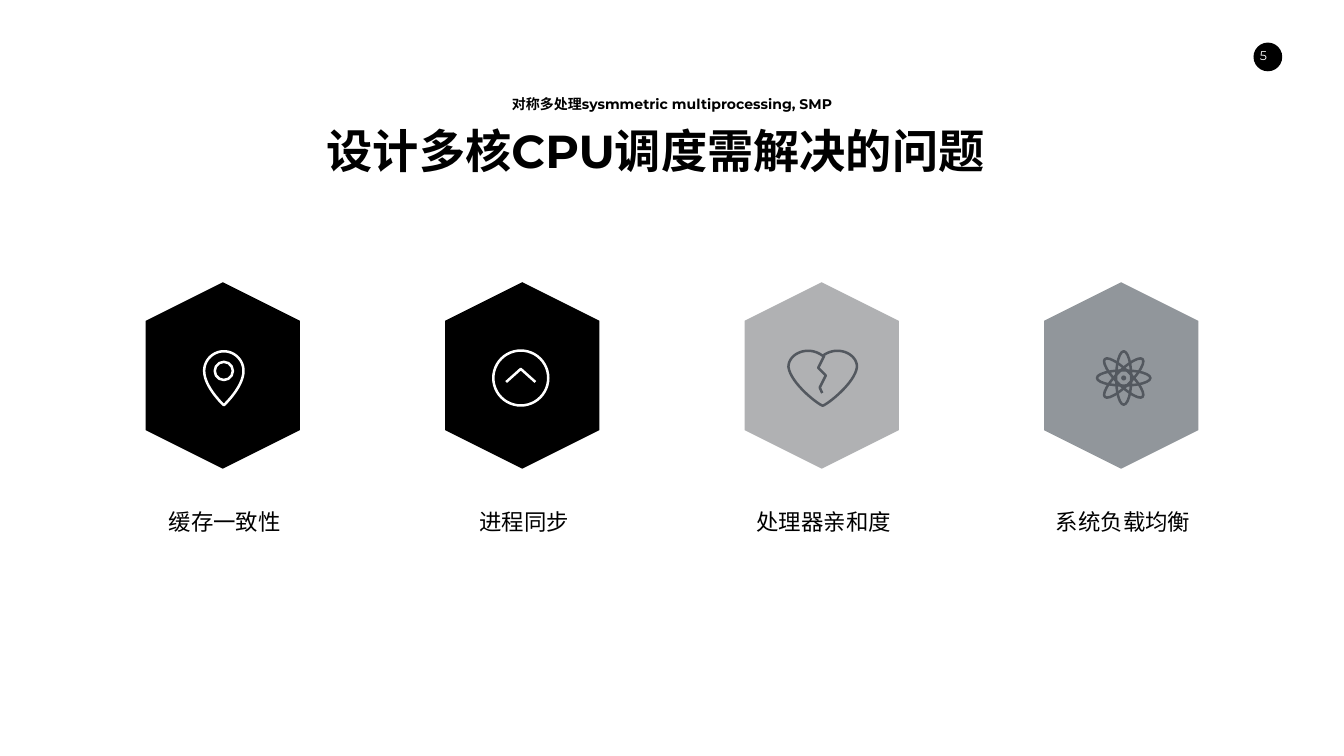
from pptx import Presentation
from pptx import util as u
from pptx.dml.color import RGBColor
from pptx.enum import shapes, text

ITEMS = [
    ("缓存一致性", "000000"),
    ("进程同步", "000000"),
    ("处理器亲和度", "B0B1B3"),
    ("系统负载均衡", "91969B"),
]
STEP = 5.94
MID = 7.5
KIND = shapes.MSO_SHAPE


def color(code):
    return RGBColor.from_string(code)


def write(shape, words, size=32, bold=False, ink="000000", font="Montserrat"):
    frame = shape.text_frame
    frame.text = words
    frame.word_wrap = True
    frame.auto_size = text.MSO_AUTO_SIZE.NONE
    frame.vertical_anchor = text.MSO_ANCHOR.MIDDLE
    para = frame.paragraphs[0]
    para.alignment = text.PP_ALIGN.CENTER
    para.font.size = u.Pt(size)
    para.font.name = font
    para.font.bold = bold
    para.font.color.rgb = color(ink)


def curve(start, *parts, count=16):
    points = [start]
    for b, c, d in parts:
        a = points[-1]
        for i in range(1, count + 1):
            t = i / count
            s = 1 - t
            points.append(tuple(
                s**3 * a[k] + 3 * s * s * t * b[k] + 3 * s * t * t * c[k] + t**3 * d[k]
                for k in (0, 1)))
    return points


def mirror(half):
    return half + [(-x, y) for x, y in reversed(half[1:-1])]


class Deck:
    stroke = 3.6

    def __init__(self, slide):
        self.slide = slide

    def paint(self, shape, fill=None, line=None):
        shape.shadow.inherit = False
        if fill:
            shape.fill.solid()
            shape.fill.fore_color.rgb = color(fill)
        else:
            shape.fill.background()
        if line:
            shape.line.color.rgb = color(line)
            shape.line.width = u.Pt(self.stroke)
        else:
            shape.line.fill.background()

    def form(self, kind, x, y, wide, high, turn=0, **look):
        shape = self.slide.shapes.add_shape(
            kind, u.Inches(x - wide / 2), u.Inches(y - high / 2),
            u.Inches(wide), u.Inches(high))
        shape.rotation = turn
        self.paint(shape, **look)
        return shape

    def trace(self, x, y, points, line, close=True):
        spots = [(u.Inches(x + a), u.Inches(y + b)) for a, b in points]
        pen = self.slide.shapes.build_freeform(*spots[0])
        pen.add_line_segments(spots[1:], close=close)
        self.paint(pen.convert_to_shape(), line=line)

    def label(self, x, y, wide, high, words, **style):
        box = self.slide.shapes.add_textbox(
            u.Inches(x), u.Inches(y), u.Inches(wide), u.Inches(high))
        write(box, words, **style)

    def title(self, x, y, wide, high, words, **style):
        box = self.slide.shapes.title
        box.left, box.top = u.Inches(x), u.Inches(y)
        box.width, box.height = u.Inches(wide), u.Inches(high)
        write(box, words, **style)

    def pin(self, x, ink):
        half = curve((0, -0.53), ((0.21, -0.53), (0.39, -0.36), (0.39, -0.14)),
                     ((0.39, 0.18), (0, 0.54), (0, 0.54)))
        self.trace(x, MID, mirror(half), ink)
        self.form(KIND.OVAL, x, MID - 0.14, 0.36, 0.36, line=ink)

    def arrow(self, x, ink):
        self.form(KIND.OVAL, x, MID, 1.09, 1.09, line=ink)
        self.trace(x, MID, [(-0.29, 0.08), (0, -0.18), (0.29, 0.08)], ink, close=False)

    def heart(self, x, ink):
        half = curve((0, -0.44), ((0.08, -0.5), (0.18, -0.54), (0.29, -0.54)),
                     ((0.5, -0.54), (0.68, -0.4), (0.68, -0.22)),
                     ((0.64, 0.1), (0.1, 0.52), (0, 0.55)))
        self.trace(x, MID, mirror(half), ink)
        crack = [(0.03, -0.44), (-0.09, -0.2), (0.06, -0.05), (-0.06, 0.19), (-0.01, 0.3)]
        self.trace(x, MID, crack, ink, close=False)

    def atom(self, x, ink):
        for turn in range(0, 180, 45):
            self.form(KIND.OVAL, x, MID, 1.06, 0.3, turn, line=ink)
        self.form(KIND.OVAL, x, MID, 0.1, 0.1, fill=ink)


def main():
    show = Presentation()
    show.slide_width, show.slide_height = u.Inches(26.66), u.Inches(15)
    deck = Deck(show.slides.add_slide(show.slide_layouts[5]))

    deck.form(KIND.OVAL, 25.15, 1.13, 0.57, 0.57, fill="000000")
    deck.label(24.63, 0.84, 0.86, 0.54, "5", size=18, ink="FFFFFF")
    deck.title(4.47, 2.38, 17.07, 1.21, "设计多核CPU调度需解决的问题", size=66, bold=True)
    deck.label(9.09, 1.87, 8.48, 0.37, "对称多处理sysmmetric multiprocessing, SMP",
               size=20, bold=True)

    for i, (words, fill) in enumerate(ITEMS):
        tile = deck.form(KIND.HEXAGON, 4.42 + i * STEP, 7.45, 3.7, 3.06, 270, fill=fill)
        tile.adjustments[0] = 0.25
        deck.label(2.7 + i * STEP, 10.03, 3.52, 0.64, words)

    deck.pin(4.44, "FFFFFF")
    deck.arrow(10.33, "FFFFFF")
    deck.heart(16.32, "53585F")
    deck.atom(22.29, "53585F")
    show.save("out.pptx")


if __name__ == "__main__":
    main()
